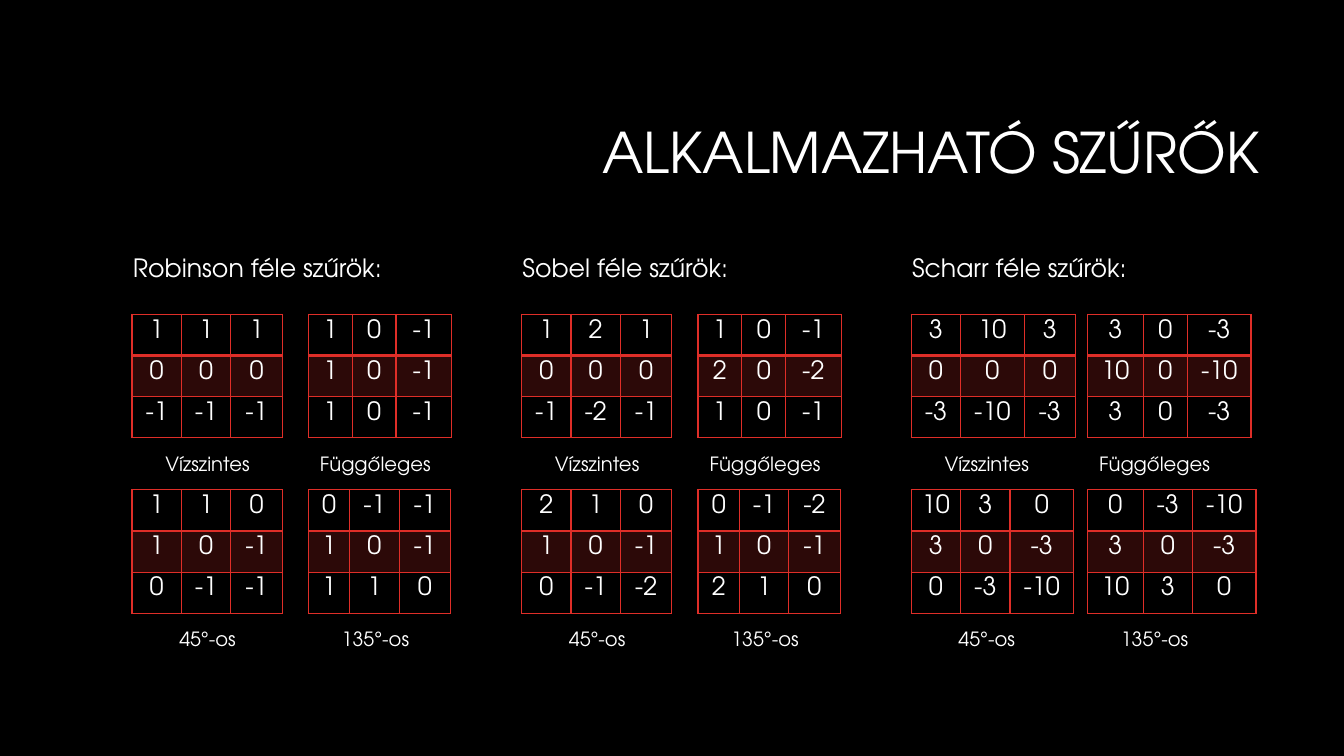
import pptx
import pptx.dml.color
import pptx.enum.text
import pptx.oxml
import pptx.oxml.ns
import pptx.util

BLACK = pptx.dml.color.RGBColor(0x00, 0x00, 0x00)
WHITE = pptx.dml.color.RGBColor(0xFF, 0xFF, 0xFF)
RED = pptx.dml.color.RGBColor(0xDF, 0x2E, 0x28)
ALIGN = pptx.enum.text.PP_ALIGN
ANCHOR = pptx.enum.text.MSO_ANCHOR
AUTO_SIZE = pptx.enum.text.MSO_AUTO_SIZE

COLUMNS, ROWS = 133.33, 75
FAMILY_LEFT, FAMILY_STEP = 13.1, 38.65
KERNEL_TOP, KERNEL_STEP_X, KERNEL_STEP_Y = 31.2, 17.5, 17.4
KERNEL_ROW = 4.08
CAPTION_DROP = 13.1
CAPTION_WIDTHS = (15, 13.3)
HEADING_TOP, HEADING_INDENT = 24.5, 0.9
CAPTIONS = ("Vízszintes", "Függőleges", "45°-os", "135°-os")

HORIZONTAL_WIDTHS = (4.9, 4.9, 5.1)
VERTICAL_WIDTHS = (4.35, 4.35, 5.5)
DIAGONAL_WIDTHS = (4.1, 4.9, 5.1)

FAMILIES = (
    ("Robinson féle szűrök:", (
        (HORIZONTAL_WIDTHS, ((1, 1, 1), (0, 0, 0), (-1, -1, -1))),
        (VERTICAL_WIDTHS, ((1, 0, -1), (1, 0, -1), (1, 0, -1))),
        (HORIZONTAL_WIDTHS, ((1, 1, 0), (1, 0, -1), (0, -1, -1))),
        (DIAGONAL_WIDTHS, ((0, -1, -1), (1, 0, -1), (1, 1, 0))),
    )),
    ("Sobel féle szűrök:", (
        (HORIZONTAL_WIDTHS, ((1, 2, 1), (0, 0, 0), (-1, -2, -1))),
        (VERTICAL_WIDTHS, ((1, 0, -1), (2, 0, -2), (1, 0, -1))),
        (HORIZONTAL_WIDTHS, ((2, 1, 0), (1, 0, -1), (0, -1, -2))),
        (DIAGONAL_WIDTHS, ((0, -1, -2), (1, 0, -1), (2, 1, 0))),
    )),
    ("Scharr féle szűrök:", (
        ((4.9, 6.3, 5.1), ((3, 10, 3), (0, 0, 0), (-3, -10, -3))),
        ((5.5, 4.4, 6.3), ((3, 0, -3), (10, 0, -10), (3, 0, -3))),
        ((4.9, 4.9, 6.3), ((10, 3, 0), (3, 0, -3), (0, -3, -10))),
        ((5.5, 4.9, 6.3), ((0, -3, -10), (3, 0, -3), (10, 3, 0))),
    )),
)


class FilterSlide:
    font = "TeX Gyre Adventor"
    unit = pptx.util.Inches(0.1)

    def __init__(self, deck):
        self.slide = deck.slides.add_slide(deck.slide_layouts[6])
        background = self.slide.background.fill
        background.solid()
        background.fore_color.rgb = BLACK

    def grid(self, *lengths):
        return [round(length * self.unit) for length in lengths]

    def add_text(self, frame, text, size, align):
        paragraph = frame.paragraphs[0]
        paragraph.alignment = align
        run = paragraph.add_run()
        run.text = text
        run.font.name = self.font
        run.font.size = pptx.util.Pt(size)
        run.font.bold = False
        run.font.color.rgb = WHITE
        return paragraph

    def text_frame(self, left, top, width, height):
        frame = self.slide.shapes.add_textbox(
            *self.grid(left, top, width, height)).text_frame
        frame.word_wrap = True
        return frame

    def label(self, text, left, top, width, height, size, align):
        frame = self.text_frame(left, top, width, height)
        frame.auto_size = AUTO_SIZE.SHAPE_TO_FIT_TEXT
        self.add_text(frame, text, size, align)

    def title(self, text, left, top, width, height):
        frame = self.text_frame(left, top, width, height)
        frame.vertical_anchor = ANCHOR.MIDDLE
        self.add_text(frame, text, 40, ALIGN.RIGHT).line_spacing = 0.9

    def border(self, cell, side, points):
        cell._tc.get_or_add_tcPr().append(pptx.oxml.parse_xml(
            f'<a:ln{side} {pptx.oxml.ns.nsdecls("a")} w="{pptx.util.Pt(points)}">'
            f'<a:solidFill><a:srgbClr val="{RED}"/></a:solidFill></a:ln{side}>'))

    def tint(self, cell):
        cell.fill.solid()
        cell.fill.fore_color.rgb = RED
        fill = cell._tc.tcPr.find(pptx.oxml.ns.qn("a:solidFill"))
        fill[0].append(pptx.oxml.parse_xml(
            f'<a:alpha {pptx.oxml.ns.nsdecls("a")} val="20000"/>'))

    def kernel(self, values, widths, left, top):
        table = self.slide.shapes.add_table(
            3, 3, *self.grid(left, top, sum(widths), 3 * KERNEL_ROW)).table
        table.first_row = False
        table.horz_banding = False
        for column, width in zip(table.columns, self.grid(*widths)):
            column.width = width
        for r, numbers in enumerate(values):
            table.rows[r].height = self.grid(KERNEL_ROW)[0]
            for c, number in enumerate(numbers):
                cell = table.cell(r, c)
                self.add_text(cell.text_frame, str(number), 18, ALIGN.CENTER)
                for side, points in (("L", 1), ("R", 1),
                                     ("T", 2 if r == 1 else 1),
                                     ("B", 2 if r == 0 else 1)):
                    self.border(cell, side, points)
                if r == 1:
                    self.tint(cell)
                else:
                    cell.fill.background()

    def family(self, heading, kernels, left):
        for k, (widths, values) in enumerate(kernels):
            row, column = divmod(k, 2)
            x = left + column * KERNEL_STEP_X
            y = KERNEL_TOP + row * KERNEL_STEP_Y
            self.kernel(values, widths, x, y)
            self.label(CAPTIONS[k], x, y + CAPTION_DROP,
                       CAPTION_WIDTHS[column], 3.4, 14, ALIGN.CENTER)
        self.label(heading, left - HEADING_INDENT, HEADING_TOP, 34.3, 4, 18, ALIGN.LEFT)


def main():
    deck = pptx.Presentation()
    deck.slide_width = round(COLUMNS * FilterSlide.unit)
    deck.slide_height = ROWS * FilterSlide.unit
    filters = FilterSlide(deck)
    filters.title("ALKALMAZHATÓ SZŰRŐK", 31.7, 8.4, 94.2, 14.1)
    for f, (heading, kernels) in enumerate(FAMILIES):
        filters.family(heading, kernels, FAMILY_LEFT + f * FAMILY_STEP)
    deck.save("out.pptx")


if __name__ == "__main__":
    main()
